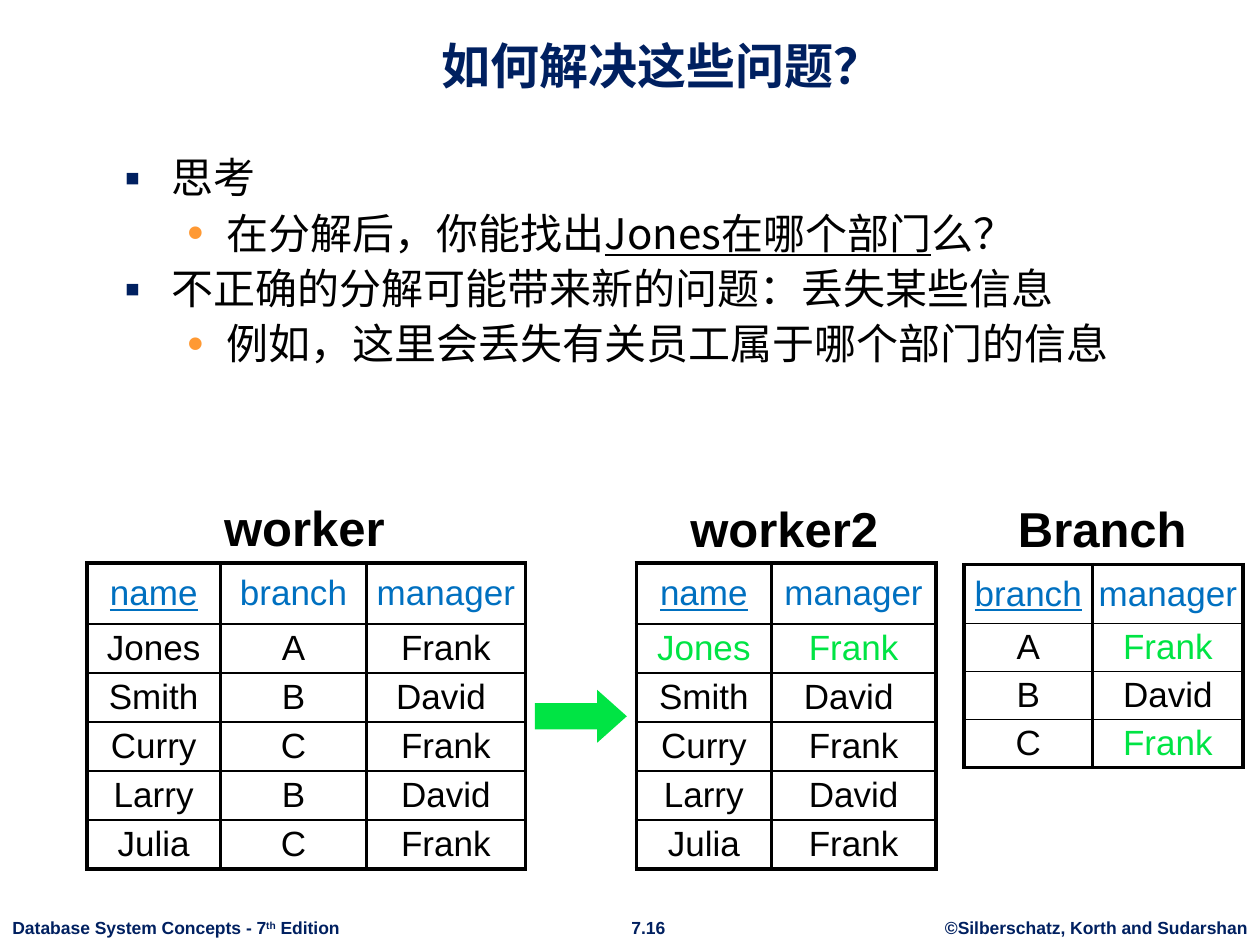
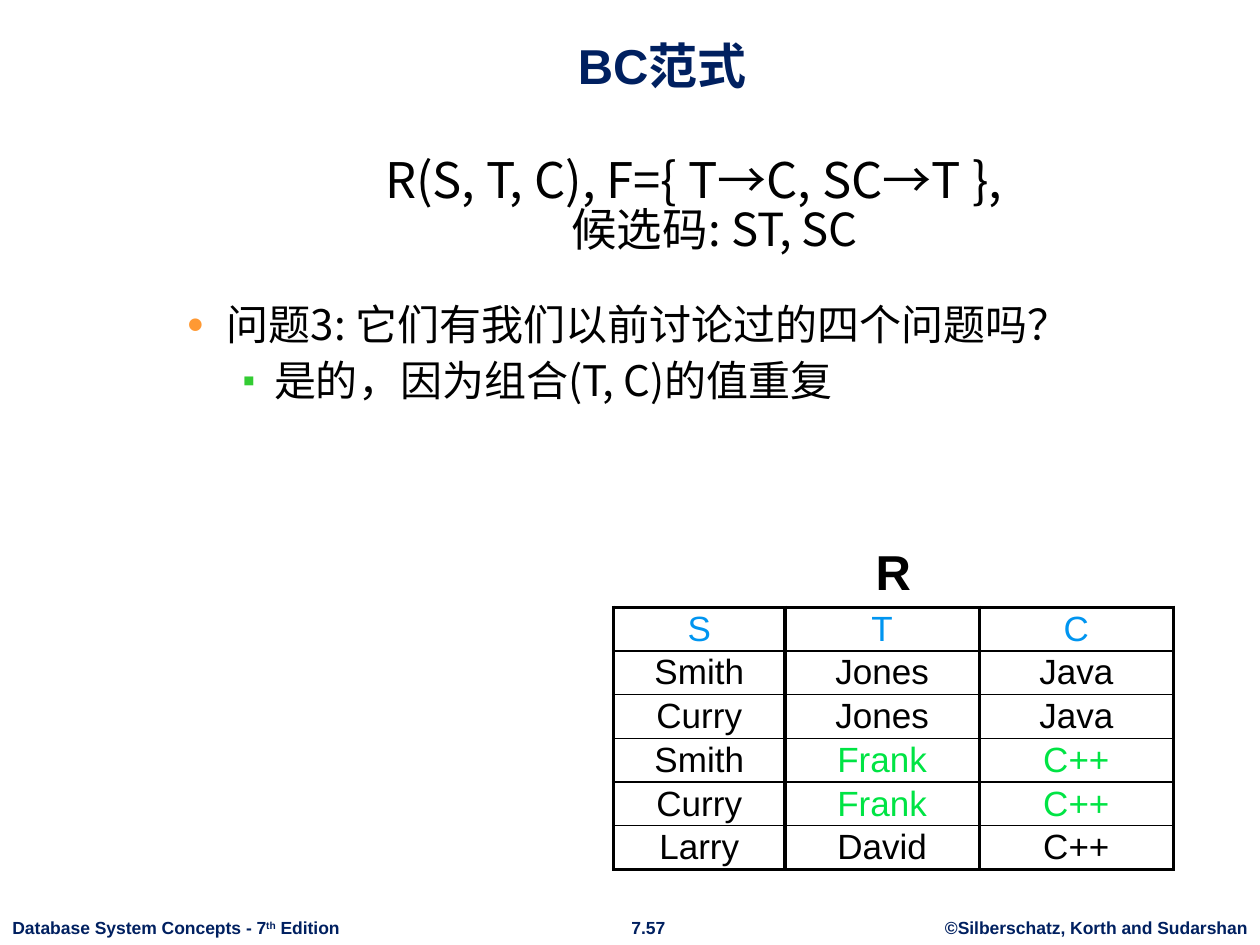
from collections import namedtuple

from lxml.etree import SubElement
from pptx import Presentation
from pptx.dml.color import RGBColor
from pptx.enum.shapes import MSO_SHAPE as Shape
from pptx.enum.text import MSO_ANCHOR as Anchor, PP_ALIGN as Align
from pptx.oxml.ns import qn
from pptx.util import Pt

NAVY = RGBColor(0x00, 0x20, 0x60)
BLACK = RGBColor(0x00, 0x00, 0x00)
WHITE = RGBColor(0xFF, 0xFF, 0xFF)
ORANGE = RGBColor(0xFF, 0x99, 0x33)
LEAF = RGBColor(0x33, 0xCC, 0x33)
GREEN = RGBColor(0x00, 0xE4, 0x44)
BLUE = RGBColor(0x00, 0x70, 0xC0)
SKY = RGBColor(0x00, 0x95, 0xF0)

LATIN = "Arial"
CJK = "Noto Sans CJK SC"
THICK, THIN = 2.25, 1
TITLE_ONLY = 5

Level = namedtuple("Level", "indent hanging char colour percent")
LEVELS = [
    Level(27, 27, "▪", NAVY, 110),
    Level(58.5, 22.5, "•", ORANGE, 110),
    Level(85.5, 18, "▪", LEAF, 85),
]


class Deck:
    """Holds the shared style and the page being filled."""

    def __init__(self):
        self.deck = Presentation()
        self.deck.slide_width, self.deck.slide_height = Pt(720), Pt(540)
        self.page = None

    def new_page(self, title, number):
        self.page = self.deck.slides.add_slide(self.deck.slide_layouts[TITLE_ONLY])
        holder = self.page.shapes.title
        holder.left, holder.top, holder.width, holder.height = Pt(60.5), Pt(9.4), Pt(635.8), Pt(48.2)
        holder.text_frame.vertical_anchor = Anchor.BOTTOM
        para = holder.text_frame.paragraphs[0]
        para.alignment = Align.CENTER
        self.span(para, title, 28, NAVY, bold=True)
        self.footer(number)

    def footer(self, number):
        edition = self.label(0, 520.6, 202.3, 19.4)
        for text, raised in [("Database System Concepts - 7", False), ("th", True), (" Edition", False)]:
            span = self.span(edition, text, 10, NAVY, bold=True)
            if raised:
                span.font._element.set("baseline", "30000")
        for left, width, text in [(352.8, 35.3, number),
                                  (532.8, 187.2, "©Silberschatz, Korth and Sudarshan")]:
            para = self.label(left, 520.6, width, 19.4, Align.CENTER)
            self.span(para, text, 10, NAVY, bold=True)

    def span(self, para, text, size, colour=BLACK, font=LATIN, bold=False, underline=False):
        span = para.add_run()
        span.text = text
        style = span.font
        style.size, style.bold, style.underline = Pt(size), bold, underline
        style.color.rgb = colour
        style.name = font
        SubElement(style._element, qn("a:ea"), typeface=CJK)
        return span

    def label(self, left, top, width, height, align=Align.LEFT):
        """Add a one-line text box and return its paragraph."""
        box = self.page.shapes.add_textbox(Pt(left), Pt(top), Pt(width), Pt(height))
        box.text_frame.word_wrap = False
        para = box.text_frame.paragraphs[0]
        para.alignment = align
        return para

    def caption(self, text, left, top, width):
        self.span(self.label(left, top, width, 41), text, 28, bold=True)

    def body(self):
        box = self.page.shapes.add_textbox(Pt(64), Pt(86.4), Pt(603.4), Pt(386))
        box.text_frame.word_wrap = True
        return box.text_frame

    def item(self, frame, level, spans, before=5.7, bullet=True, spacing=0.9):
        """Add a paragraph of (text, size, underline) spans; a None span breaks the line."""
        first = not frame.paragraphs[0].runs
        para = frame.paragraphs[0] if first else frame.add_paragraph()
        para.level = level
        para.line_spacing = spacing
        if not first:
            para.space_before = Pt(before)
        style = LEVELS[level]
        props = para._p.get_or_add_pPr()
        props.set("marL", str(Pt(style.indent)))
        props.set("indent", str(-Pt(style.hanging)))
        if bullet:
            colour = SubElement(props, qn("a:buClr"))
            SubElement(colour, qn("a:srgbClr"), val=str(style.colour))
            SubElement(props, qn("a:buSzPct"), val=str(style.percent * 1000))
            SubElement(props, qn("a:buFont"), typeface=LATIN)
            SubElement(props, qn("a:buChar"), char=style.char)
        else:
            SubElement(props, qn("a:buNone"))
        for entry in spans:
            if entry is None:
                para.add_line_break()
            else:
                text, size, underline = entry
                self.span(para, text, size, font=CJK, underline=underline)
        return para

    def table(self, left, top, widths, heights, rows, head_colour, green=(), key=False, pad=0.0):
        """Add a ruled table; green lists (row, column) cells, key underlines the first heading."""
        frame = self.page.shapes.add_table(len(rows), len(widths), Pt(left), Pt(top),
                                           Pt(sum(widths)), Pt(sum(heights)))
        table = frame.table
        table.first_row = table.horz_banding = False
        for column, width in zip(table.columns, widths):
            column.width = Pt(width)
        for r, (row, height) in enumerate(zip(rows, heights)):
            table.rows[r].height = Pt(height)
            for c, text in enumerate(row):
                cell = table.cell(r, c)
                cell.margin_left = cell.margin_right = 0
                cell.margin_top = cell.margin_bottom = Pt(pad)
                cell.vertical_anchor = Anchor.MIDDLE
                self.borders(cell, r == 0, r == len(rows) - 1)
                if r == 0:
                    cell.fill.solid()
                    cell.fill.fore_color.rgb = WHITE
                    colour = head_colour
                else:
                    cell.fill.background()
                    colour = GREEN if (r, c) in green else BLACK
                para = cell.text_frame.paragraphs[0]
                para.alignment = Align.CENTER
                self.span(para, text, 20, colour, underline=key and r == c == 0)

    def borders(self, cell, is_first, is_last):
        props = cell._tc.get_or_add_tcPr()
        sides = {"L": THICK, "R": THICK, "T": THICK if is_first else THIN,
                 "B": THICK if is_last else THIN}
        for side, width in sides.items():
            line = SubElement(props, qn(f"a:ln{side}"), w=str(Pt(width)))
            fill = SubElement(line, qn("a:solidFill"))
            SubElement(fill, qn("a:srgbClr"), val=str(BLACK))

    def arrow(self, left, top, width, height):
        arrow = self.page.shapes.add_shape(Shape.RIGHT_ARROW, Pt(left), Pt(top), Pt(width), Pt(height))
        arrow.adjustments[0], arrow.adjustments[1] = 0.5, 0.56
        arrow.shadow.inherit = False
        arrow.fill.solid()
        arrow.fill.fore_color.rgb = GREEN
        arrow.line.fill.background()


def decomposition_page(deck):
    deck.new_page("如何解决这些问题？", "7.16")
    frame = deck.body()
    deck.item(frame, 0, [("思考", 24, False)])
    deck.item(frame, 1, [("在分解后，你能找出", 24, False), ("Jones在哪个部门", 24, True),
                         ("么？", 24, False)])
    deck.item(frame, 0, [("不正确的分解可能带来新的问题：丢失某些信息", 24, False)])
    deck.item(frame, 1, [("例如，这里会丢失有关员工属于哪个部门的信息", 24, False)])

    worker = [
        ("name", "branch", "manager"),
        ("Jones", "A", "Frank"),
        ("Smith", "B", "David "),
        ("Curry", "C", "Frank"),
        ("Larry", "B", "David"),
        ("Julia", "C", "Frank"),
    ]
    worker2 = [(name, manager) for name, _, manager in worker]
    branch = [("branch", "manager"), ("A", "Frank"), ("B", "David"), ("C", "Frank")]
    heights = [34.8] + [28] * 5

    deck.table(363.6, 321.8, [77.2, 94], heights, worker2, BLUE, {(1, 0), (1, 1)}, True, 1.4)
    deck.caption("worker2", 387.4, 281.5, 123.1)
    deck.table(550.8, 322.6, [73.6, 86], [33.8] + [27.4] * 3, branch, BLUE,
               {(1, 1), (3, 1)}, True, 1.4)
    deck.caption("Branch", 574.6, 281.5, 112.3)
    deck.arrow(305.6, 394.2, 52.6, 30.2)
    deck.table(49.7, 321.8, [76.3, 83.5, 90.7], heights, worker, BLUE, key=True, pad=1.4)
    deck.caption("worker", 121, 280.8, 107.3)


def normal_form_page(deck):
    deck.new_page("BC范式", "7.57")
    frame = deck.body()
    schema = deck.item(frame, 2, [("R(S, T, C), F={ T→C, SC→T }, ", 28, False), None,
                                  ("候选码: ST, SC", 26, False)], bullet=False, spacing=0.87)
    schema.alignment = Align.CENTER
    deck.item(frame, 1, [("问题3: 它们有我们以前讨论过的四个问题吗？", 24, False)], before=27.6)
    deck.item(frame, 2, [("是的，因为组合(T, C)的值重复", 24, False)])

    rows = [
        ("S", "T", "C"),
        ("Smith", "Jones", "Java"),
        ("Curry", "Jones", "Java"),
        ("Smith", "Frank", "C++"),
        ("Curry", "Frank", "C++"),
        ("Larry", "David", "C++"),
    ]
    green = {(r, c) for r in (3, 4) for c in (1, 2)}
    deck.table(350.6, 347, [98, 111, 111], [25] * 6, rows, SKY, green)
    deck.caption("R", 493.2, 306, 35.3)


def main():
    deck = Deck()
    decomposition_page(deck)
    normal_form_page(deck)
    deck.deck.save("out.pptx")


if __name__ == "__main__":
    main()
